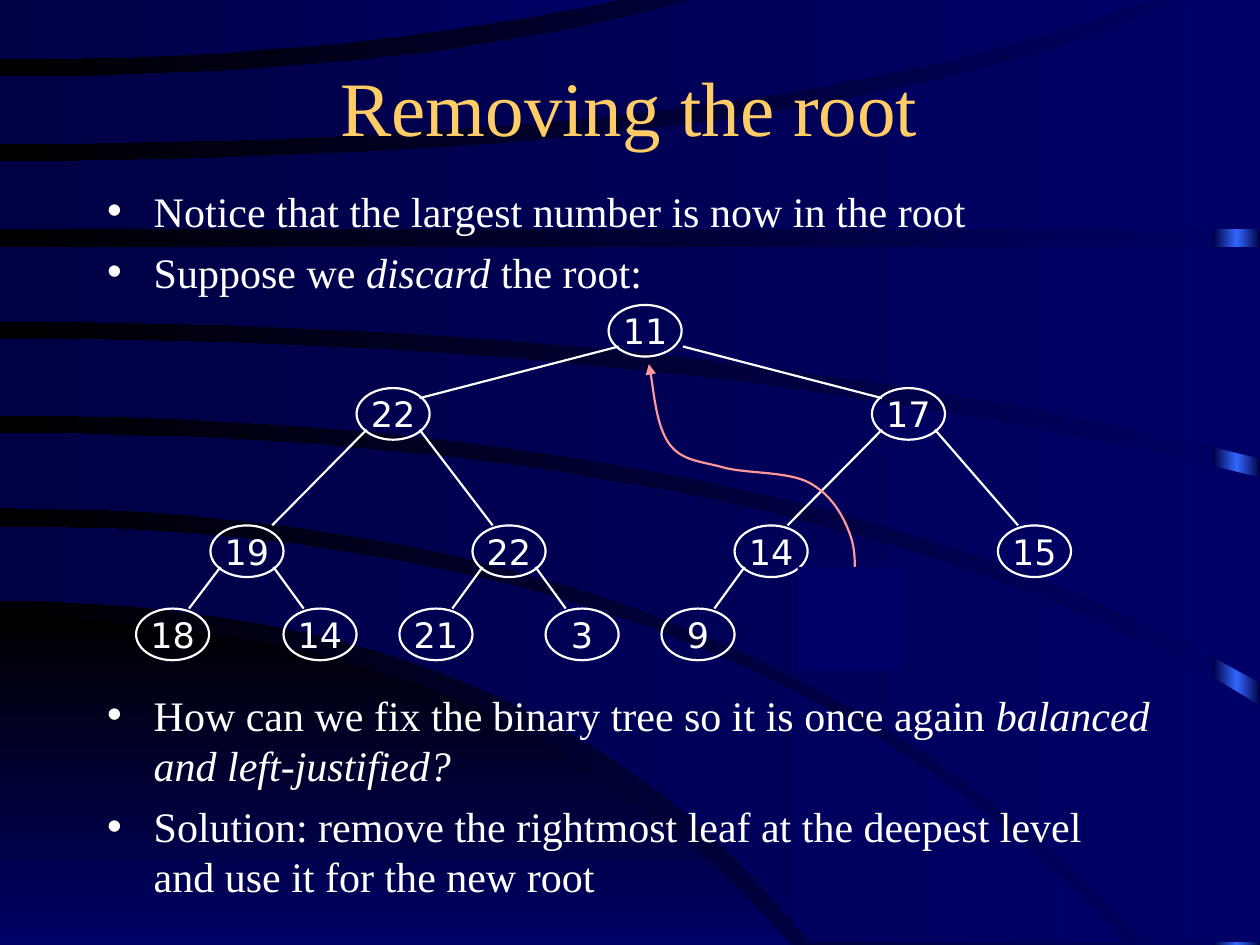
from lxml import etree
from pptx import Presentation
from pptx.dml.color import RGBColor
from pptx.enum.shapes import MSO_CONNECTOR, MSO_SHAPE
from pptx.enum.text import MSO_ANCHOR, MSO_AUTO_SIZE, PP_ALIGN
from pptx.oxml.ns import qn
from pptx.util import Inches, Pt

LINE = MSO_CONNECTOR.STRAIGHT
OVAL, RECT = MSO_SHAPE.OVAL, MSO_SHAPE.RECTANGLE
CENTER, MIDDLE = PP_ALIGN.CENTER, MSO_ANCHOR.MIDDLE
NO_FIT = MSO_AUTO_SIZE.NONE

COLORS = {"white": "FFFFFF", "gold": "FFCC66", "pink": "FF9999", "black": "000000",
          "blue": "000066", "navy": "000044", "bright": "3366FF"}
SERIF, SANS = "Times New Roman", "DejaVu Sans"
NODE_W, NODE_H = 0.58, 0.41
LEVEL_TOPS = [2.42, 3.08, 4.17, 4.83]

# label, left, offset of the incoming edge's end; in heap order
NODES = [("11", 4.83, 0), ("22", 2.83, 0.5), ("17", 6.92, 0.08),
         ("19", 1.67, 0.49), ("22", 3.75, 0.16), ("14", 5.83, 0.42), ("15", 7.92, 0.16),
         ("18", 1.08, 0.42), ("14", 2.25, 0.16), ("21", 3.17, 0.42), ("3", 4.33, 0.16),
         ("9", 5.25, 0.42)]

# upper and lower side of each band: y at the left, x of the bend, end x, end y
CORNER = ((4.91, 4.06, 6.28, 7.5), (7.5, 3, 6.28, 7.5))
BANDS = [((4.18, 5.93, 8.93, 7.48), (4.77, 4.34, 6.42, 7.48)),
         ((3.44, 6.4, 10, 5.6), (4.03, 5.88, 9.09, 7.48)),
         ((2.69, 5.54, 10, 3.79), (3.3, 6.3, 10, 5.42)),
         ((1.96, 5, 10, 1.96), (2.55, 5.64, 10, 3.64)),
         ((1.28, 6.62, 9.43, -0.02), (1.82, 5, 10, 1.82)),
         ((0.61, 3.38, 5.56, -0.02), (1.14, 6.22, 9.17, -0.02)),
         ((-0.02, 2.5, 5.01, -0.02), (0.47, 2.74, 5.01, -0.02))]
STEPS = 24
MOVE_CURVE = [(6.75, 4.83), (6.78, 4.63), (6.81, 4.42), (6.75, 4.25), (6.69, 4.08),
              (6.59, 3.92), (6.42, 3.83), (6.25, 3.74), (5.92, 3.76), (5.74, 3.71),
              (5.56, 3.66), (5.41, 3.66), (5.31, 3.52), (5.21, 3.38), (5.18, 3.02),
              (5.15, 2.89)]


def rgb(name):
    return RGBColor.from_string(COLORS[name])


def gradient(fill, props, names, angle):
    fill.gradient()
    grad = props.find(qn("a:gradFill"))
    for child in list(grad):
        grad.remove(child)
    stops = etree.SubElement(grad, qn("a:gsLst"))
    for i, name in enumerate(names):
        gs = etree.SubElement(stops, qn("a:gs"), pos=str(100000 * i // (len(names) - 1)))
        etree.SubElement(gs, qn("a:srgbClr"), val=COLORS[name])
    etree.SubElement(grad, qn("a:lin"), ang=str(angle * 60000), scaled="0")


def add_outline(slide, points, close=True):
    units = [(round(x * 100), round(y * 100)) for x, y in points]
    builder = slide.shapes.build_freeform(*units[0], scale=Inches(0.01))
    builder.add_line_segments(units[1:], close=close)
    sp = builder.convert_to_shape()
    sp.shadow.inherit = False
    return sp


def bend(start_y, bend_x, end_x, end_y):
    steps = [i / STEPS for i in range(STEPS + 1)]
    return [(2 * t * (1 - t) * bend_x + t * t * end_x, start_y + t * t * (end_y - start_y))
            for t in steps]


def add_band(slide, sides):
    upper, lower = (bend(*side) for side in sides)
    ends = [upper[-1], lower[-1]]
    corner = (max(ends)[0], min(ends)[1])
    return add_outline(slide, upper + [corner] + lower[::-1])


def add_backdrop(prs, slide):
    bg_fill = slide.background.fill
    bg_fill.solid()
    bg_props = slide._element.find(".//" + qn("p:bgPr"))
    gradient(bg_fill, bg_props, ["blue", "black"], 180)
    stripe = slide.shapes.add_shape(RECT, Inches(9.63), 0, Inches(0.37), Inches(7.5))
    stripe.shadow.inherit = False
    parts = [(stripe, ["navy", "bright", "navy"], 180),
             (add_band(slide, CORNER), ["black", "blue"], 90)]
    parts += [(add_band(slide, sides), ["blue", "navy"], 180) for sides in BANDS]
    master_tree = prs.slide_master.shapes._spTree
    for i, (sp, names, angle) in enumerate(parts):
        sp.line.fill.background()
        gradient(sp.fill, sp._element.spPr, names, angle)
        sp._element.nvSpPr.cNvPr.id = 100 + i
        master_tree.insert(2 + i, sp._element)


def add_run(p, text, size, font, color, italic=False):
    r = p.add_run()
    r.text = text
    r.font.size, r.font.name, r.font.italic = Pt(size), font, italic
    r.font.color.rgb = rgb(color)


def place(sp, left, top, width, height):
    sp.left, sp.top = Inches(left), Inches(top)
    sp.width, sp.height = Inches(width), Inches(height)
    sp.text_frame.auto_size = NO_FIT


def set_title(sp, text):
    place(sp, 0.33, 0.42, 9.33, 0.83)
    sp.text_frame.vertical_anchor = MIDDLE
    p = sp.text_frame.paragraphs[0]
    p.alignment = CENTER
    add_run(p, text, 44, SERIF, "gold")


def set_bullets(sp, top, height, items):
    place(sp, 0.75, top, 8.5, height)
    tf = sp.text_frame
    for i, runs in enumerate(items):
        p = tf.paragraphs[0] if i == 0 else tf.add_paragraph()
        p.space_before = Pt(6)
        pPr = p._p.get_or_add_pPr()
        pPr.set("marL", str(Inches(0.37)))
        pPr.set("indent", str(-Inches(0.37)))
        color = etree.SubElement(pPr, qn("a:buClr"))
        etree.SubElement(color, qn("a:srgbClr"), val=COLORS["white"])
        etree.SubElement(pPr, qn("a:buChar"), char="•")
        for text, italic in runs:
            add_run(p, text, 24, SERIF, "white", italic)


def style_line(line, color):
    line.color.rgb = rgb(color)
    line.width = Pt(1.25)


def node_top(i):
    return LEVEL_TOPS[(i + 1).bit_length() - 1]


def add_node(slide, i):
    label, left, _ = NODES[i]
    sp = slide.shapes.add_shape(OVAL, Inches(left), Inches(node_top(i)),
                                Inches(NODE_W), Inches(NODE_H))
    sp.shadow.inherit = False
    sp.fill.background()
    style_line(sp.line, "white")
    tf = sp.text_frame
    tf.word_wrap, tf.vertical_anchor = False, MIDDLE
    tf.paragraphs[0].alignment = CENTER
    add_run(tf.paragraphs[0], label, 20, SANS, "white")


def add_edge(slide, child):
    parent = (child - 1) // 2
    start_dx = 0.08 if child % 2 else 0.59 if parent == 0 else 0.5
    _, left, end_dx = NODES[child]
    end_dy = 0.08 if parent == 0 else 0
    c = slide.shapes.add_connector(
        LINE, Inches(NODES[parent][1] + start_dx), Inches(node_top(parent) + 0.33),
        Inches(left + end_dx), Inches(node_top(child) + end_dy))
    style_line(c.line, "white")
    etree.SubElement(c._element.spPr, qn("a:effectLst"))


def add_curved_arrow(slide, points):
    sp = add_outline(slide, points, close=False)
    sp.fill.background()
    style_line(sp.line, "pink")
    etree.SubElement(sp.line._get_or_add_ln(), qn("a:tailEnd"), type="triangle")
    segments = sp._element.findall(".//" + qn("a:lnTo"))
    outline = segments[0].getparent()
    for i in range(0, len(segments), 3):
        bezier = etree.SubElement(outline, qn("a:cubicBezTo"))
        for segment in segments[i:i + 3]:
            bezier.append(segment[0])
            outline.remove(segment)


def main():
    prs = Presentation()
    prs.slide_width, prs.slide_height = Inches(10), Inches(7.5)
    slide = prs.slides.add_slide(prs.slide_layouts[3])
    add_backdrop(prs, slide)
    title, upper, lower = slide.placeholders
    set_title(title, "Removing the root")
    set_bullets(upper, 1.42, 1.08, [
        [("Notice that the largest number is now in the root", False)],
        [("Suppose we ", False), ("discard", True), (" the root:", False)]])
    set_bullets(lower, 5.42, 1.83, [
        [("How can we fix the binary tree so it is once again ", False),
         ("balanced and left-justified?", True)],
        [("Solution: remove the rightmost leaf at the deepest level and use it "
          "for the new root", False)]])
    for i in range(len(NODES)):
        add_node(slide, i)
    for child in range(1, len(NODES)):
        add_edge(slide, child)
    add_curved_arrow(slide, MOVE_CURVE)
    gap = slide.shapes.add_shape(RECT, Inches(6.33), Inches(4.5), Inches(0.83), Inches(0.83))
    gap.shadow.inherit = False
    gap.fill.solid()
    gap.fill.fore_color.rgb = rgb("blue")
    gap.line.fill.background()
    prs.save("out.pptx")


if __name__ == "__main__":
    main()
